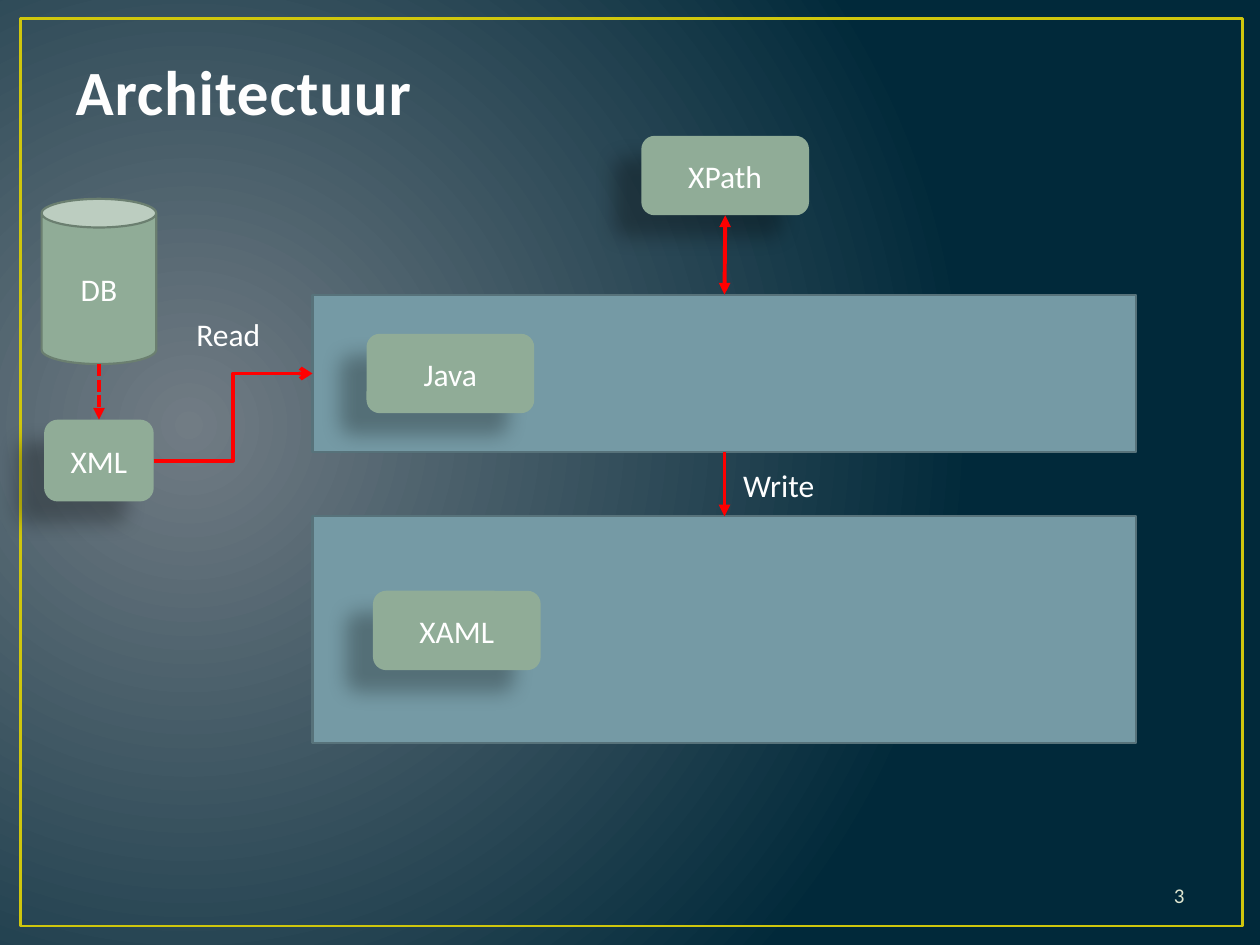
from lxml import etree
from pptx import Presentation
from pptx.dml.color import RGBColor
from pptx.enum import dml, shapes, text
from pptx.oxml import ns, parse_xml
from pptx.util import Cm, Pt

KIND = shapes.MSO_SHAPE
ALIGN = text.PP_ALIGN
ANCHOR = text.MSO_ANCHOR
TOP, LEFT, BOTTOM, RIGHT = range(4)


def colour(value):
    """Turn a hex string into a colour."""
    return RGBColor.from_string(value)


def element(markup):
    """Build a DrawingML element from markup with the a: prefix."""
    head, rest = markup.split(" ", 1)
    return parse_xml(f"{head} {ns.nsdecls('a')} {rest}")


class Diagram:
    """Holds the style and the current slide."""

    font = "Calibri"
    white = "FFFFFF"
    green = "90AC97"
    blue = "759AA5"
    red = "FF0000"

    def __init__(self, page):
        self.page = page

    def background(self, inner, outer):
        """Fill the page with a circular gradient."""
        fill = self.page.background.fill
        fill.gradient()
        for stop, value, place in zip(fill.gradient_stops, (inner, outer), (0, 1)):
            stop.color.rgb = colour(value)
            stop.position = place
        gradient = self.page._element.find(".//" + ns.qn("a:gradFill"))
        gradient.replace(gradient.find(ns.qn("a:lin")), element(
            '<a:path path="circle"><a:fillToRect l="15000" t="50000" '
            'r="85000" b="60000"/></a:path>'))

    def add_words(self, box, words, size=18, value=white, align=ALIGN.CENTER,
                  anchor=ANCHOR.MIDDLE):
        """Put one styled run into a shape and return the run."""
        frame = box.text_frame
        frame.word_wrap = True
        frame.vertical_anchor = anchor
        para = frame.paragraphs[0]
        para.alignment = align
        span = para.add_run()
        span.text = words
        span.font.name = self.font
        span.font.size = Pt(size)
        span.font.color.rgb = colour(value)
        return span

    def title(self, words, left, top, width, height):
        """Place and format the title placeholder."""
        box = self.page.shapes.title
        box.left, box.top, box.width, box.height = map(Cm, (left, top, width, height))
        span = self.add_words(box, words, 36, "FEFEFE", ALIGN.LEFT, ANCHOR.BOTTOM)
        span.font.bold = True
        properties = span.font._element
        properties.set("spc", "50")
        properties.insert(0, element(
            '<a:ln w="13335"><a:solidFill><a:srgbClr val="384F55"/></a:solidFill></a:ln>'))

    def label(self, words, left, top, width, height=1.02, **style):
        """Add free text."""
        box = self.page.shapes.add_textbox(*map(Cm, (left, top, width, height)))
        self.add_words(box, words, **style)

    def shape(self, kind, left, top, width, height, fill=None, line=None, weight=1.25):
        """Add a preset shape; leave out fill or line when not given."""
        box = self.page.shapes.add_shape(kind, *map(Cm, (left, top, width, height)))
        box.shadow.inherit = False
        if fill:
            box.fill.solid()
            box.fill.fore_color.rgb = colour(fill)
        else:
            box.fill.background()
        if line:
            box.line.color.rgb = colour(line)
            box.line.width = Pt(weight)
        else:
            box.line.fill.background()
        return box

    def panel(self, top, height):
        """Add a wide layer of the architecture."""
        return self.shape(KIND.RECTANGLE, 6.3, top, 16.61, height, self.blue, "57727A")

    def node(self, words, left, top, width=3.38, height=1.6, kind=KIND.ROUNDED_RECTANGLE):
        """Add a green box with a soft shadow."""
        box = self.shape(kind, left, top, width, height, self.green)
        effects = box._element.spPr.find(ns.qn("a:effectLst"))
        effects.append(element(
            f'<a:outerShdw blurRad="{Pt(11.8)}" dist="{Pt(19.7)}" dir="{141 * 60000}" '
            'algn="ctr" rotWithShape="0"><a:srgbClr val="000000">'
            '<a:alpha val="28000"/></a:srgbClr></a:outerShdw>'))
        self.add_words(box, words)
        return box

    def arrow(self, start, start_site, end, end_site, kind=shapes.MSO_CONNECTOR.STRAIGHT,
              tail="triangle", head=None, dash=None):
        """Join two shapes with a red arrow."""
        wire = self.page.shapes.add_connector(kind, 0, 0, 0, 0)
        wire.begin_connect(start, start_site)
        wire.end_connect(end, end_site)
        wire.line.color.rgb = colour(self.red)
        wire.line.width = Pt(2.25)
        if dash:
            wire.line.dash_style = dash
        outline = wire.line._get_or_add_ln()
        for tag, tip in (("a:headEnd", head), ("a:tailEnd", tail)):
            if tip:
                etree.SubElement(outline, ns.qn(tag), type=tip)
        etree.SubElement(wire._element.spPr, ns.qn("a:effectLst"))
        return wire


def main():
    """Build the architecture slide."""
    deck = Presentation()
    deck.slide_width, deck.slide_height = Cm(25.4), Cm(19.05)
    diagram = Diagram(deck.slides.add_slide(deck.slide_layouts[5]))
    diagram.background("717C84", "01293A")
    diagram.shape(KIND.RECTANGLE, 0.41, 0.38, 24.64, 18.29, line="CFC60D", weight=1.5)
    output = diagram.panel(10.41, 4.57)
    engine = diagram.panel(5.94, 3.18)
    diagram.title("Architectuur", 1.27, 0.74, 22.86, 1.98)
    diagram.label("3", 18.21, 17.53, 5.92, size=12, value="DFE6D0", align=ALIGN.RIGHT)

    database = diagram.shape(KIND.CAN, 0.84, 4.01, 2.31, 3.33, diagram.green, "6B7F70")
    diagram.add_words(database, "DB")
    diagram.node("XAML", 7.52, 11.91)
    diagram.arrow(engine, BOTTOM, output, TOP)
    source = diagram.node("XML", 0.89, 8.46, 2.21, 1.65)
    for words, left, top, width in (("Read", 3.71, 6.22, 2.01), ("Write", 14.73, 9.27, 2.18)):
        diagram.label(words, left, top, width, align=ALIGN.LEFT, anchor=ANCHOR.TOP)

    # Site 3 of a can is its bottom, so the start point is set by hand.
    export = diagram.arrow(database, 3, source, TOP, dash=dml.MSO_LINE.SQUARE_DOT)
    export.begin_x = database.left + database.width // 2
    export.begin_y = database.top + database.height

    query = diagram.node("XPath", 12.93, 2.74, kind=KIND.FLOWCHART_ALTERNATE_PROCESS)
    diagram.node("Java", 7.39, 6.73)
    diagram.arrow(query, BOTTOM, engine, TOP, head="triangle")
    diagram.arrow(source, RIGHT, engine, LEFT, shapes.MSO_CONNECTOR.ELBOW, tail="arrow")
    deck.save("out.pptx")


main()
